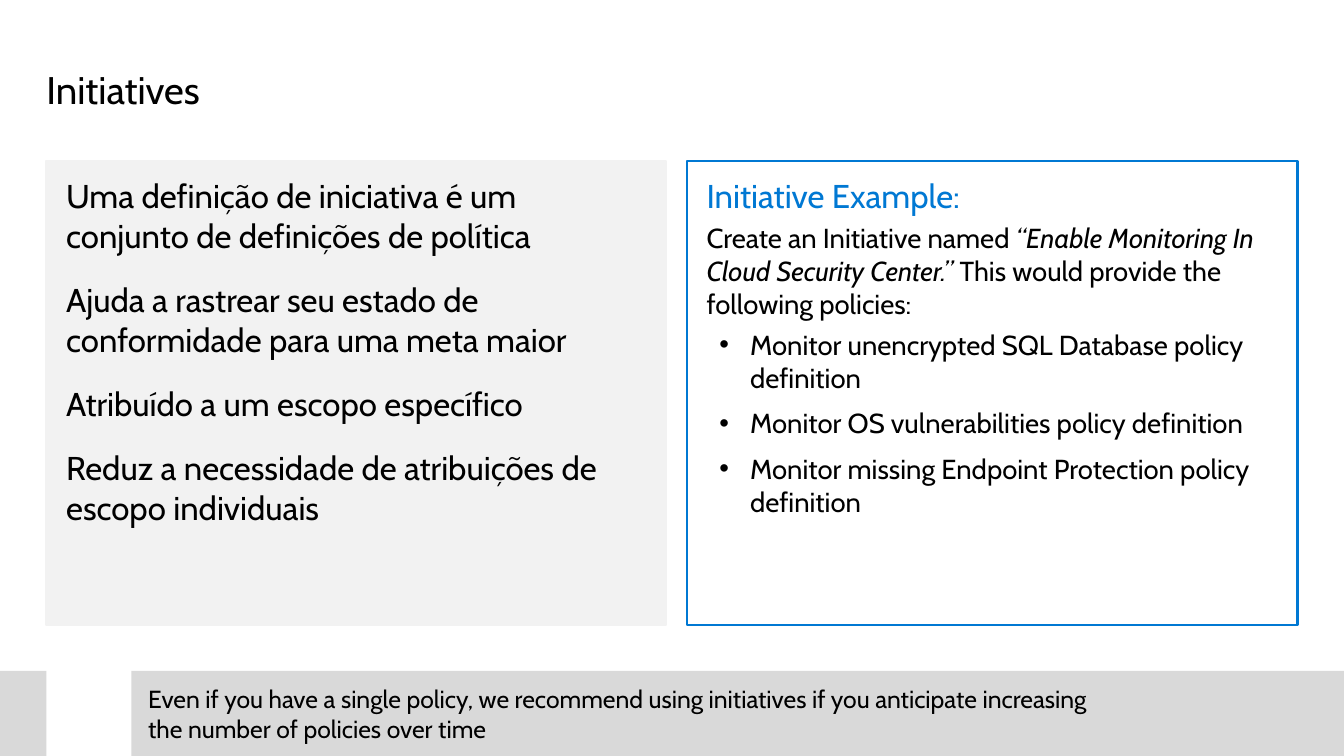
from lxml.etree import SubElement
from pptx import Presentation
from pptx.dml.color import RGBColor
from pptx.enum.shapes import MSO_SHAPE
from pptx.enum.text import MSO_ANCHOR, PP_ALIGN
from pptx.oxml.ns import qn
from pptx.util import Inches, Pt

COLORS = {"text": "000000", "accent": "0078D3", "panel": "F2F2F2", "band": "D9D9D9"}
FONT = "Cabin"
WIDTH, HEIGHT = 13.6, 7.65
MARGIN = 0.47
PANEL_TOP, PANEL_HEIGHT = 1.63, 4.69
BAND_TOP, BAND_LEFT = 6.79, 1.33

BENEFITS = [
    "Uma definição de iniciativa é um conjunto de definições de política",
    "Ajuda a rastrear seu estado de conformidade para uma meta maior",
    "Atribuído a um escopo específico",
    "Reduz a necessidade de atribuições de escopo individuais",
]
EXAMPLE_INTRO = [
    "Create an Initiative named ",
    "“Enable Monitoring In Cloud Security Center.” ",
    "This would provide the following policies:",
]
POLICIES = [
    "Monitor unencrypted SQL Database policy definition",
    "Monitor OS vulnerabilities policy definition",
    "Monitor missing Endpoint Protection policy definition",
]
ADVICE = (
    "Even if you have a single policy, we recommend using initiatives "
    "if you anticipate increasing\vthe number of policies over time"
)


def rgb(name):
    return RGBColor.from_string(COLORS[name])


def prepare_frame(shape, insets, anchor=MSO_ANCHOR.TOP):
    frame = shape.text_frame
    frame.word_wrap = True
    frame.vertical_anchor = anchor
    frame.margin_left, frame.margin_top, frame.margin_right, frame.margin_bottom = map(Inches, insets)
    return frame


def style(paragraph, size, color="text", before=0, after=0):
    paragraph.alignment = PP_ALIGN.LEFT
    paragraph.space_before, paragraph.space_after = Pt(before), Pt(after)
    for run in paragraph.runs:
        run.font.name = FONT
        run.font.size = Pt(size)
        run.font.color.rgb = rgb(color)


def add_bullet(paragraph):
    properties = paragraph._p.get_or_add_pPr()
    properties.set("marL", str(Inches(0.44)))
    properties.set("indent", str(Inches(-0.31)))
    SubElement(properties, qn("a:buFont"), typeface="Arial")
    SubElement(properties, qn("a:buChar"), char="•")


def add_title(slide, text):
    title = slide.shapes.add_textbox(*map(Inches, (MARGIN, 0.69, WIDTH - 2 * MARGIN, 0.45)))
    heading = prepare_frame(title, (0, 0, 0, 0)).paragraphs[0]
    heading.text = text
    heading.line_spacing = Pt(32)
    style(heading, 28)


def add_panel(slide, left, width, outline, fill=None):
    panel = slide.shapes.add_shape(
        MSO_SHAPE.RECTANGLE, *map(Inches, (left, PANEL_TOP, width, PANEL_HEIGHT)))
    panel.shadow.inherit = False
    if fill:
        panel.fill.solid()
        panel.fill.fore_color.rgb = rgb(fill)
    else:
        panel.fill.background()
    panel.line.color.rgb = rgb(outline)
    panel.line.width = Pt(1.5)
    return prepare_frame(panel, (0.2, 0.15, 0.2, 0.15))


def add_benefits(slide):
    frame = add_panel(slide, MARGIN, 6.27, "panel", "panel")
    frame.text = "\n".join(BENEFITS)
    for benefit in frame.paragraphs:
        style(benefit, 24, before=18)


def add_example(slide):
    frame = add_panel(slide, 6.95, 6.18, "accent")
    heading = frame.paragraphs[0]
    heading.text = "Initiative Example:"
    style(heading, 24, "accent", after=4)
    intro = frame.add_paragraph()
    for part in EXAMPLE_INTRO:
        intro.add_run().text = part
    intro.runs[1].font.italic = True
    style(intro, 20)
    for policy in POLICIES:
        item = frame.add_paragraph()
        item.text = policy
        style(item, 20, before=6, after=3)
        add_bullet(item)


def add_advice_band(slide):
    builder = None
    for left, right in ((BAND_LEFT, WIDTH), (0, MARGIN)):
        corners = [(Inches(x), Inches(y)) for x, y in
                   ((left, BAND_TOP), (right, BAND_TOP), (right, HEIGHT), (left, HEIGHT))]
        if builder is None:
            builder = slide.shapes.build_freeform(*corners[0])
        else:
            builder.move_to(*corners[0])
        builder.add_line_segments(corners[1:], close=True)
    band = builder.convert_to_shape()
    band.shadow.inherit = False
    band.fill.solid()
    band.fill.fore_color.rgb = rgb("band")
    band.line.fill.background()
    advice = prepare_frame(band, (1.5, 0.16, 0.2, 0.16), MSO_ANCHOR.MIDDLE).paragraphs[0]
    advice.text = ADVICE
    style(advice, 18)


def main():
    """Build the slide about policy initiatives."""
    deck = Presentation()
    deck.slide_width, deck.slide_height = Inches(WIDTH), Inches(HEIGHT)
    slide = deck.slides.add_slide(deck.slide_layouts[6])
    add_title(slide, "Initiatives")
    add_benefits(slide)
    add_example(slide)
    add_advice_band(slide)
    deck.save("out.pptx")


if __name__ == "__main__":
    main()
